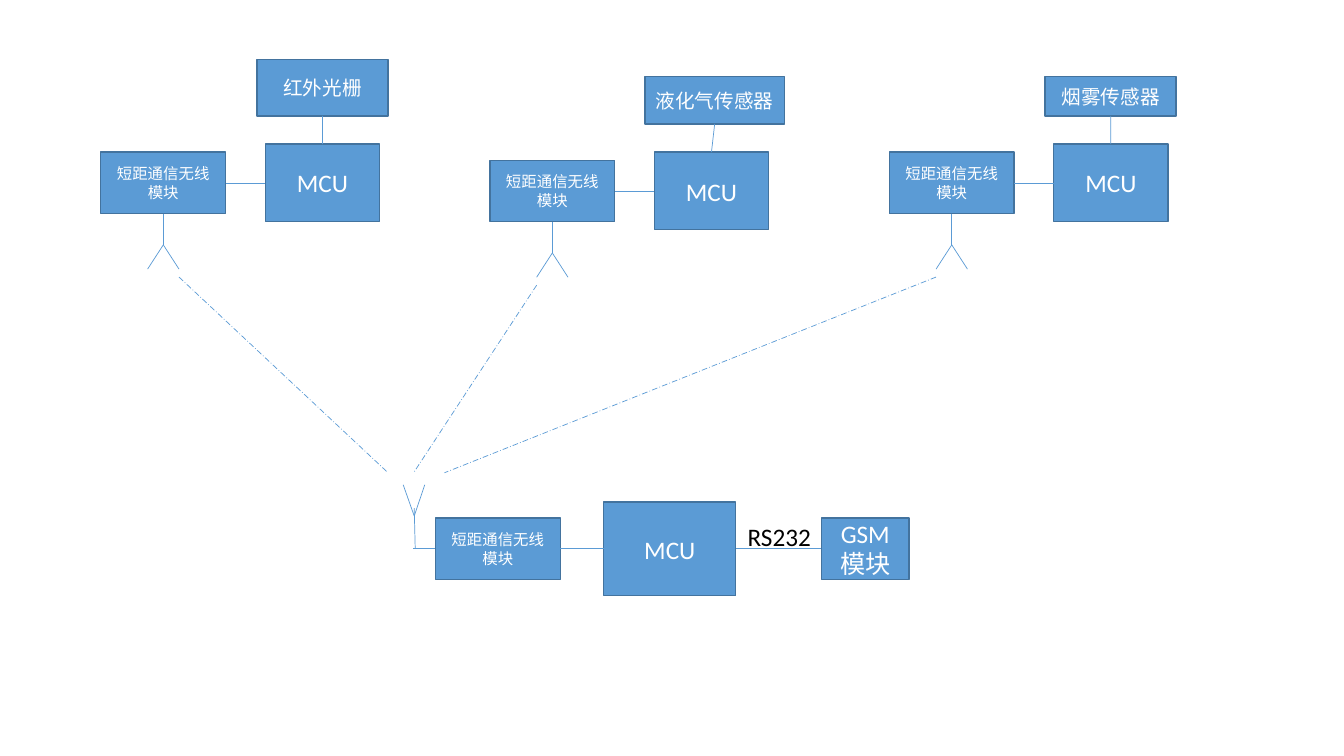
from lxml import etree
from pptx import Presentation
from pptx.dml.color import RGBColor
from pptx.enum import dml, shapes, text
from pptx.oxml import ns
from pptx.util import Pt

RADIO = "短距通信无线模块"
BLUE, EDGE, WHITE, BLACK = "5B9BD5", "43739E", "FFFFFF", "000000"

deck = Presentation()
deck.slide_width, deck.slide_height = Pt(960), Pt(540)
slide = deck.slides.add_slide(deck.slide_layouts[6])


def add_label(label, left, top, width, height, size, boxed=True):
    """Add a filled box with centred text, or plain black text if not boxed."""
    place = Pt(left), Pt(top), Pt(width), Pt(height)
    if boxed:
        block = slide.shapes.add_shape(shapes.MSO_SHAPE.RECTANGLE, *place)
        block.shadow.inherit = False
        block.fill.solid()
        block.fill.fore_color.rgb = RGBColor.from_string(BLUE)
        block.line.color.rgb = RGBColor.from_string(EDGE)
        block.line.width = Pt(1)
    else:
        block = slide.shapes.add_textbox(*place)
    frame = block.text_frame
    frame.word_wrap = boxed
    frame.vertical_anchor = text.MSO_ANCHOR.MIDDLE if boxed else text.MSO_ANCHOR.TOP
    if not boxed:
        frame.auto_size = text.MSO_AUTO_SIZE.SHAPE_TO_FIT_TEXT
    paragraph = frame.paragraphs[0]
    paragraph.alignment = text.PP_ALIGN.CENTER if boxed else text.PP_ALIGN.LEFT
    run = paragraph.add_run()
    run.text = label
    run.font.name = "Calibri"
    run.font.size = Pt(size)
    run.font.color.rgb = RGBColor.from_string(WHITE if boxed else BLACK)


def add_link(x1, y1, x2, y2, wireless=False):
    """Draw a thin blue line, dash-dotted for a wireless path."""
    link = slide.shapes.add_connector(
        shapes.MSO_CONNECTOR.STRAIGHT, Pt(x1), Pt(y1), Pt(x2), Pt(y2))
    link.line.color.rgb = RGBColor.from_string(BLUE)
    link.line.width = Pt(0.5)
    if wireless:
        link.line.dash_style = dml.MSO_LINE.LONG_DASH_DOT
    etree.SubElement(link._element.spPr, ns.qn("a:effectLst"))


radio_w, radio_h = 89.3, 43.9

# Receiving station
bus_y = 392
add_label("MCU", 431.3, 358.6, 94.3, 67, 18)
add_label("GSM模块", 586.8, 370, 62.6, radio_h, 18)
add_link(525.6, bus_y, 586.8, bus_y)
add_label(RADIO, 311, 370, radio_w, radio_h, 11)
add_link(400.3, bus_y, 431.3, bus_y)
add_label("RS232", 527, 368.6, 59.8, 28.8, 18, boxed=False)
add_link(295.9, 363, 296.6, bus_y)
add_link(295.2, bus_y, 311, bus_y)
for tip_x in (288, 303.4):
    add_link(tip_x, 346.3, 295.9, 368.6)

# Sensor stations: radio left and top, sensor name and box,
# side of the antenna that transmits, end of the wireless path
stations = [
    (72, 108.7, "红外光栅", (183.6, 42.5, 93.6, 40.3), 1, (277.2, 337.7)),
    (349.9, 114.5, "液化气传感器", (460.8, 54.7, 99.4, 33.8), -1, (295.9, 337)),
    (635.2, 108.7, "烟雾传感器", (746.6, 54.7, 93.6, 28.1), -1, (317.5, 337.7)),
]
mcu_w, mcu_h = 81.6, 55.4
for left, top, sensor, sensor_box, side, target in stations:
    mcu_x, mcu_y = left + 117.5, top - 5.8
    add_label(RADIO, left, top, radio_w, radio_h, 11)
    add_label("MCU", mcu_x, mcu_y, mcu_w, mcu_h, 18)
    add_link(left + radio_w, top + 22.3, mcu_x, top + 22.3)

    sensor_x, sensor_y, sensor_w, sensor_h = sensor_box
    add_label(sensor, *sensor_box, 14)
    add_link(sensor_x + sensor_w / 2, sensor_y + sensor_h, mcu_x + mcu_w / 2, mcu_y)

    mast_x, fork_y = left + radio_w / 2, top + 66.2
    add_link(mast_x, top + radio_h, mast_x, fork_y)
    for arm in (-11.2, 11.2):
        add_link(mast_x, fork_y, mast_x + arm, fork_y + 17.3)
    add_link(mast_x + side * 11.2, fork_y + 23, *target, wireless=True)

deck.save("out.pptx")
